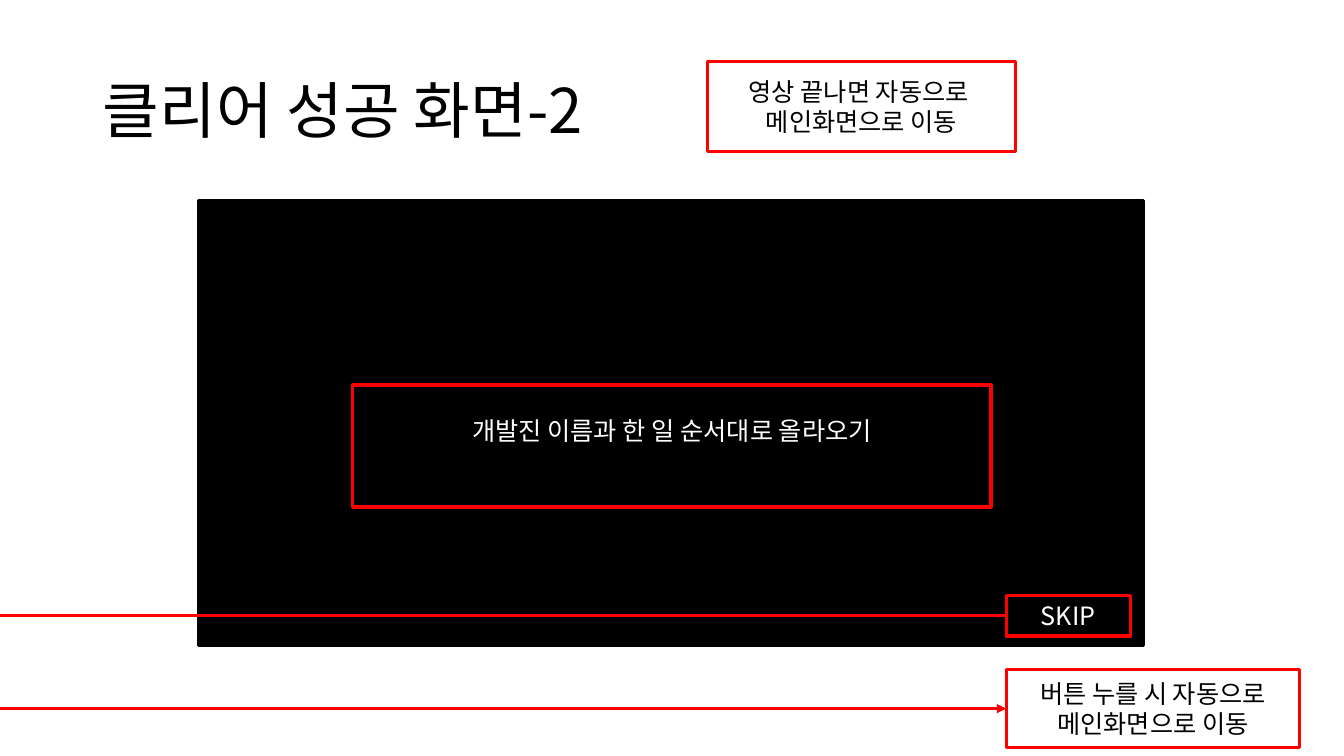
from lxml import etree
from pptx import Presentation
from pptx.dml.color import RGBColor
from pptx.enum.shapes import MSO_CONNECTOR, MSO_SHAPE
from pptx.enum.text import MSO_ANCHOR, PP_ALIGN
from pptx.oxml.ns import qn
from pptx.util import Inches, Pt

RECT = MSO_SHAPE.RECTANGLE
STRAIGHT = MSO_CONNECTOR.STRAIGHT
MIDDLE = MSO_ANCHOR.MIDDLE
LEFT, CENTER = PP_ALIGN.LEFT, PP_ALIGN.CENTER
BLACK = RGBColor(0, 0, 0)
WHITE = RGBColor(255, 255, 255)
RED = RGBColor(255, 0, 0)
FONT = "Noto Sans CJK KR"
LEFT_SIDE = 1


def write(shape, text, size=18, color=BLACK, align=CENTER, spacing=None, bottom=0.05):
    tf = shape.text_frame
    tf.word_wrap = True
    tf.vertical_anchor = MIDDLE
    tf.margin_bottom = Inches(bottom)
    for i, line in enumerate(text.split("\n")):
        p = tf.paragraphs[0] if i == 0 else tf.add_paragraph()
        p.alignment = align
        if spacing:
            p.line_spacing = spacing
        r = p.add_run()
        r.text = line
        r.font.size = Pt(size)
        r.font.color.rgb = color
        r.font.name = FONT
        etree.SubElement(r.font._element, qn("a:ea"), typeface=FONT)


def add_box(s, x, y, w, h, line=RED, fill=None):
    box = s.shapes.add_shape(RECT, Inches(x), Inches(y), Inches(w), Inches(h))
    box.shadow.inherit = False
    if fill is None:
        box.fill.background()
    else:
        box.fill.solid()
        box.fill.fore_color.rgb = fill
    box.line.color.rgb = line
    box.line.width = Pt(2.25)
    return box


def add_link(s, target, arrow=False):
    y = target.top + target.height // 2
    link = s.shapes.add_connector(STRAIGHT, 0, y, target.left, y)
    link.end_connect(target, LEFT_SIDE)
    link.line.color.rgb = RED
    link.line.width = Pt(2.25)
    if arrow:
        etree.SubElement(link.line._get_or_add_ln(), qn("a:tailEnd"), type="triangle")
    etree.SubElement(link._element.spPr, qn("a:effectLst"))


def add_title(s, x, y, w, h):
    title = s.shapes.add_textbox(Inches(x), Inches(y), Inches(w), Inches(h))
    write(title, "클리어 성공 화면-2", size=44, align=LEFT, spacing=0.9)


def add_screen(s, x, y, w, h):
    add_box(s, x, y, w, h, line=BLACK, fill=BLACK)
    credits = add_box(s, x + 1.53, y + 1.83, 6.33, 1.21)
    write(credits, "개발진 이름과 한 일 순서대로 올라오기", color=WHITE, bottom=0.35)
    skip = add_box(s, x + 8.01, y + 3.92, 1.23, 0.4)
    write(skip, "SKIP", color=WHITE)
    return skip


def add_note(s, text, x, y, w, h):
    note = add_box(s, x, y, w, h)
    write(note, text)
    return note


def main():
    prs = Presentation()
    prs.slide_width = Inches(13.33)
    prs.slide_height = Inches(7.5)
    s = prs.slides.add_slide(prs.slide_layouts[6])
    add_title(s, 0.92, 0.4, 11.5, 1.45)
    skip = add_screen(s, 1.97, 1.99, 9.37, 4.41)
    skip_note = add_note(s, "버튼 누를 시 자동으로\n메인화면으로 이동", 9.98, 6.64, 2.91, 0.78)
    add_link(s, skip)
    add_link(s, skip_note, arrow=True)
    add_note(s, "영상 끝나면 자동으로 \n메인화면으로 이동", 7.02, 0.61, 3.05, 0.89)
    prs.save("out.pptx")


if __name__ == "__main__":
    main()
